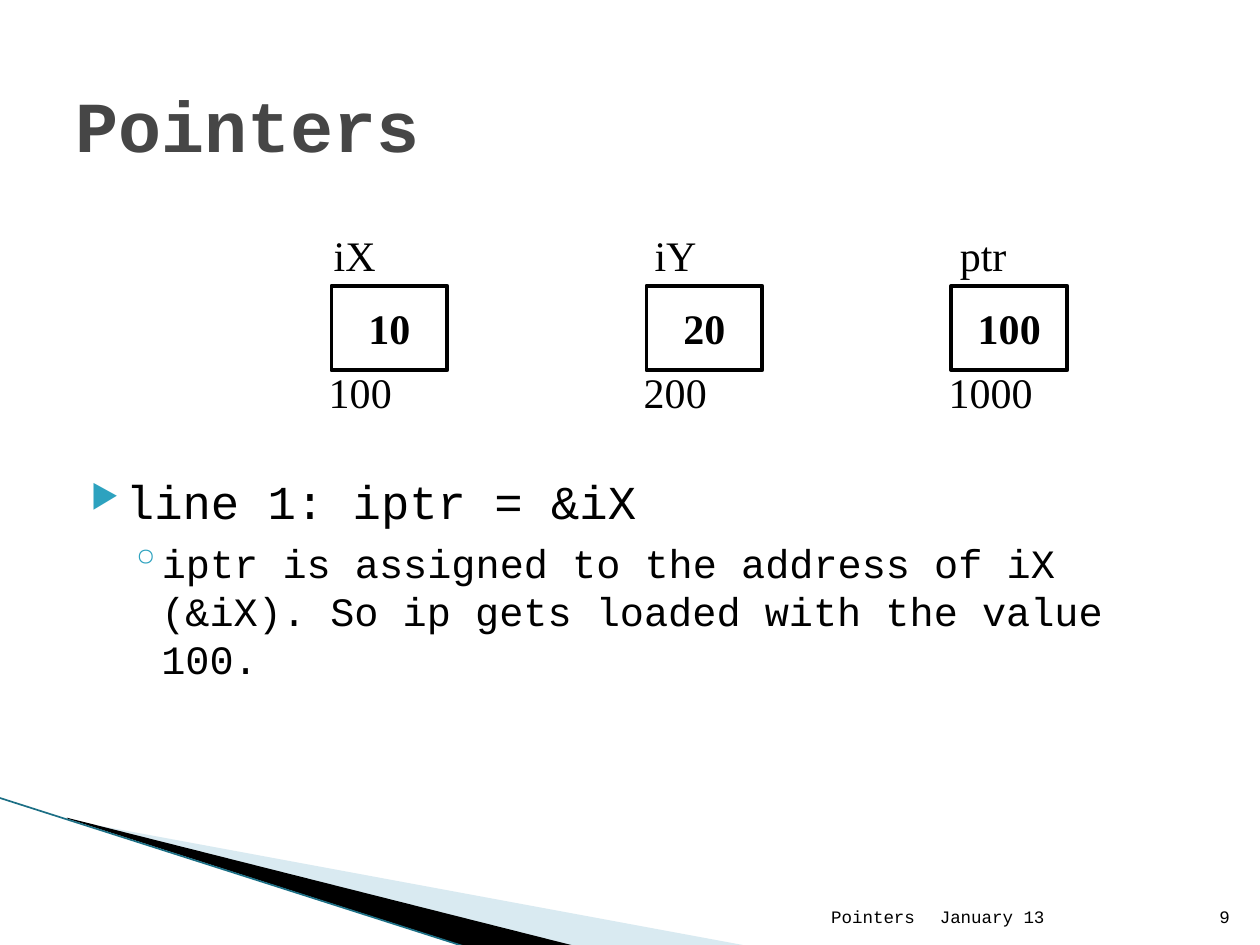
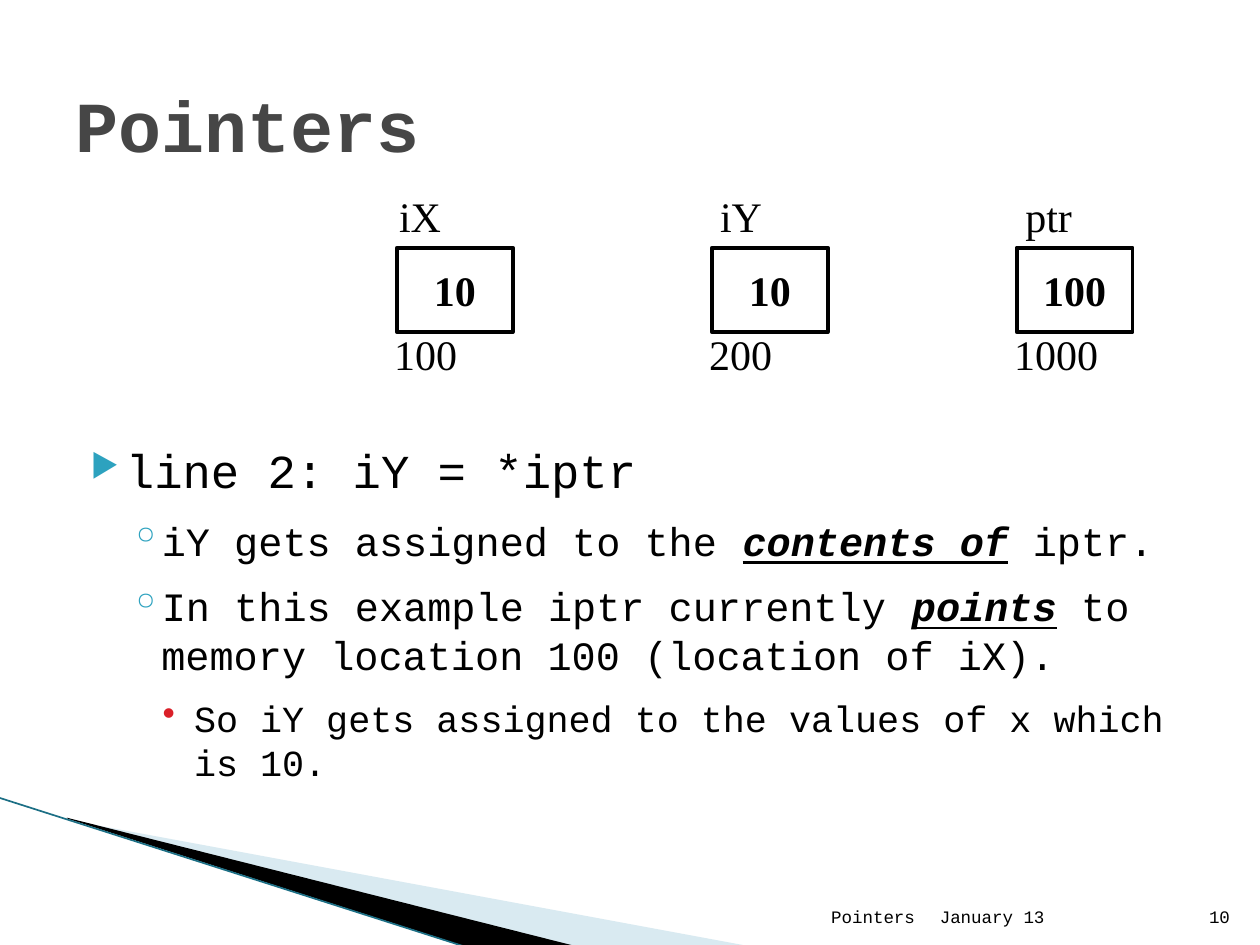
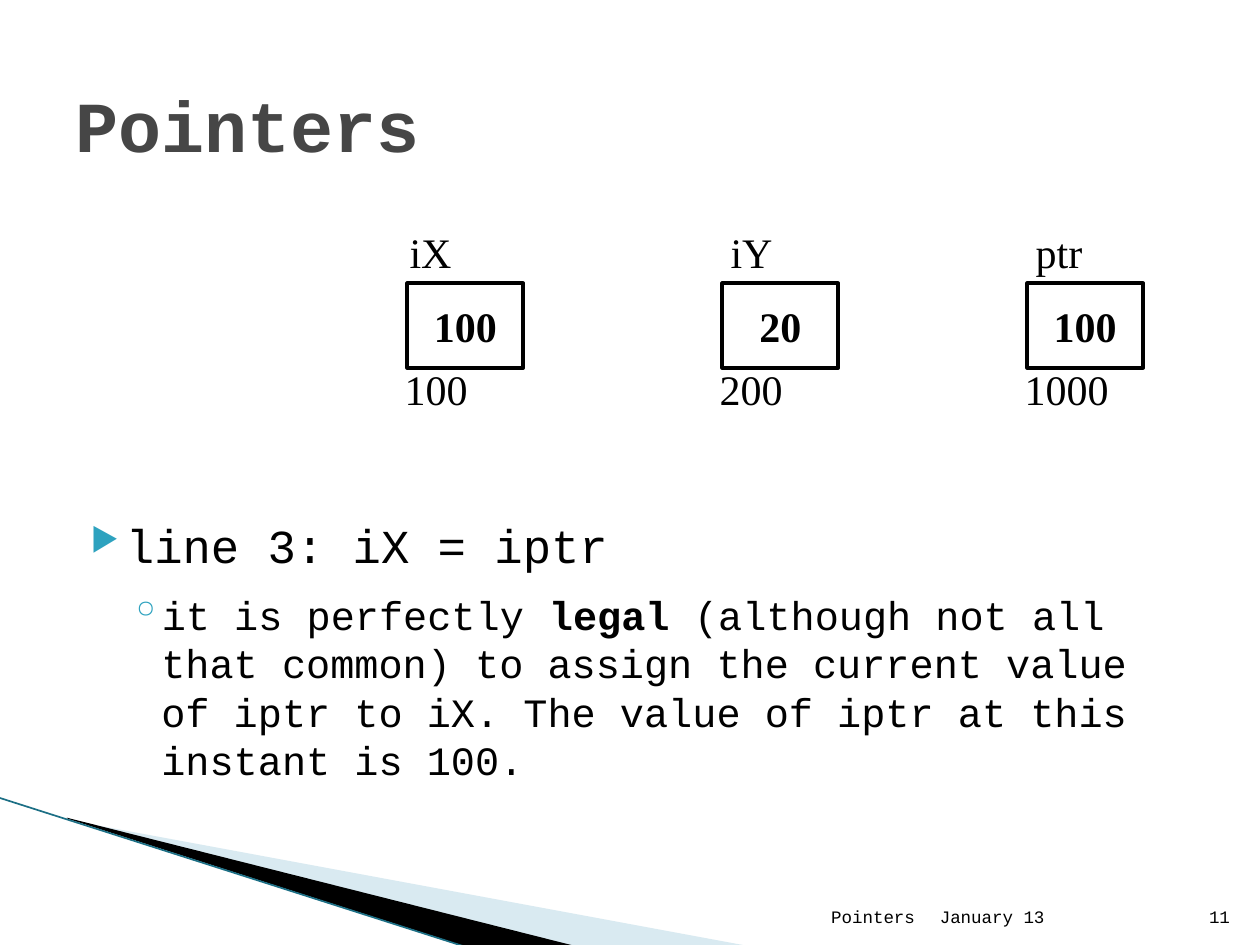
from dataclasses import dataclass

from lxml import etree
from pptx import Presentation
from pptx.dml.color import RGBColor
from pptx.enum.shapes import MSO_CONNECTOR, MSO_SHAPE
from pptx.enum.text import MSO_ANCHOR, PP_ALIGN
from pptx.oxml.ns import qn
from pptx.util import Pt

RECTANGLE, STRAIGHT = MSO_SHAPE.RECTANGLE, MSO_CONNECTOR.STRAIGHT
TOP, MIDDLE, BOTTOM = MSO_ANCHOR.TOP, MSO_ANCHOR.MIDDLE, MSO_ANCHOR.BOTTOM
LEFT, CENTER, RIGHT = PP_ALIGN.LEFT, PP_ALIGN.CENTER, PP_ALIGN.RIGHT


@dataclass(frozen=True)
class Theme:
    code_font: str = "Courier New"
    diagram_font: str = "Times New Roman"
    ink: str = "000000"
    title: str = "464646"
    accent: str = "2DA2BF"
    accent_deep: str = "DA1F28"
    pale_wedge: str = "A0CBDC"
    wedge_edge: str = "1C6F85"
    title_size: float = 41
    diagram_size: float = 24
    footer_size: float = 10
    leading: float = 1.2


THEME = Theme()

# Content: body lines are (level, runs); a run is text or (text, styles)
TITLE = "Pointers"
FOOTER, DATE = "Pointers", "January 13"
STRONG, EMPHASIS = "b", "biu"
SLIDES = [
    dict(number="9", diagram_at=(189.4, 163.4), values=["10", "20", "100"],
         body_top=270, gap=5, body=[
             (0, ["line 1: iptr = &iX"]),
             (1, ["iptr is assigned to the address of iX (&iX). "
                  "So ip gets loaded with the value 100."]),
         ]),
    dict(number="10", diagram_at=(226.8, 141.6), values=["10", "10", "100"],
         body_top=252.4, gap=10, body=[
             (0, ["line 2: iY = *iptr"]),
             (1, ["iY gets assigned to the ", ("contents of", EMPHASIS), " iptr."]),
             (1, ["In this example iptr currently ", ("points", EMPHASIS),
                  " to memory location 100 (location of iX)."]),
             (2, ["So iY gets assigned to the values of x which is 10."]),
         ]),
    dict(number="11", diagram_at=(232.8, 162), values=["100", "20", "100"],
         body_top=294.8, gap=10, body=[
             (0, ["line 3: iX = iptr"]),
             (1, ["it is perfectly ", ("legal", STRONG),
                  " (although not all that common) to assign the current value "
                  "of iptr to iX. The value of iptr at this instant is 100."]),
         ]),
]

# Variables: name, address, offset from the first cell, name shift, label widths
VARIABLES = [
    ("iX", "100", 0, -5.8, 38.2, 50.4),
    ("iY", "200", 180, -2.4, 38.2, 50.4),
    ("ptr", "1000", 354.2, -2.2, 41, 62.6),
]
CELL_WIDTH, CELL_HEIGHT, LABEL_HEIGHT = 66.2, 48.2, 36
ADDRESS_SHIFT, ADDRESS_DROP = -8.6, 42.3

# Body levels: size, left margin, hanging indent, bullet, colour, bullet percent
LEVELS = [
    (27, 28.8, 20.2, "\u25b6", THEME.accent, 68),
    (23, 49, 18, "\u25e6", THEME.accent, 100),
    (21, 67.7, 18, "\u2022", THEME.accent_deep, 100),
]
BODY_LEFT, BODY_WIDTH, BODY_BOTTOM = 43.2, 633.6, 473

# Corner decoration
PALE_WEDGE = [(39.6, 468.7), (428.4, 540.7), (328.3, 540.7), (39.6, 468)]
DARK_WEDGE = [(38.2, 467.3), (329, 540.7), (267.8, 541.4), (38.9, 468)]
WEDGE_EDGE = (-0.7, 455.8, 267.1, 541.4)


def pts(*lengths):
    return [Pt(length) for length in lengths]


def rgb(colour):
    return RGBColor.from_string(colour)


def write(frame, text, *, font=THEME.code_font, size, colour=THEME.ink, bold=False,
          align=LEFT, anchor=TOP, wrap=True, leading=None, new=False):
    """Write text, or a list of runs, as one paragraph and return it."""
    frame.word_wrap = wrap
    frame.vertical_anchor = anchor
    paragraph = frame.add_paragraph() if new else frame.paragraphs[0]
    paragraph.alignment = align
    if leading:
        paragraph.line_spacing = Pt(round(size * leading, 2))
    for part in [text] if isinstance(text, str) else text:
        words, styles = (part, "") if isinstance(part, str) else part
        run = paragraph.add_run()
        run.text = words
        run.font.name, run.font.size = font, Pt(size)
        run.font.color.rgb = rgb(colour)
        run.font.bold = bold or "b" in styles
        run.font.italic = "i" in styles
        run.font.underline = "u" in styles
    return paragraph


def add_label(slide, box, text, **style):
    frame = slide.shapes.add_textbox(*pts(*box)).text_frame
    write(frame, text, **style)
    return frame


def set_bullet(paragraph, level):
    _, margin, hang, mark, colour, percent = LEVELS[level]
    properties = paragraph._p.get_or_add_pPr()
    properties.set("marL", str(Pt(margin)))
    properties.set("indent", str(-Pt(hang)))
    bullet_colour = etree.SubElement(properties, qn("a:buClr"))
    etree.SubElement(bullet_colour, qn("a:srgbClr"), val=colour)
    etree.SubElement(properties, qn("a:buSzPct"), val=str(percent * 1000))
    etree.SubElement(properties, qn("a:buChar"), char=mark)


def add_wedge(slide, corners, colour, opacity=100):
    points = [pts(*corner) for corner in corners]
    builder = slide.shapes.build_freeform(*points[0])
    builder.add_line_segments(points[1:], close=True)
    wedge = builder.convert_to_shape()
    wedge.shadow.inherit = False
    wedge.line.fill.background()
    wedge.fill.solid()
    wedge.fill.fore_color.rgb = rgb(colour)
    if opacity < 100:
        tint = wedge._element.spPr.find(".//" + qn("a:srgbClr"))
        etree.SubElement(tint, qn("a:alpha"), val=str(opacity * 1000))


def add_frame(slide, number):
    """Draw the decoration, footer and title that every slide shares."""
    add_wedge(slide, PALE_WEDGE, THEME.pale_wedge, opacity=40)
    add_wedge(slide, DARK_WEDGE, THEME.ink)
    edge = slide.shapes.add_connector(STRAIGHT, *pts(*WEDGE_EDGE))
    edge.line.color.rgb = rgb(THEME.wedge_edge)
    edge.line.width = Pt(0.95)
    etree.SubElement(edge._element.spPr, qn("a:effectLst"))

    for text, left, width, align in [(DATE, 530, 151.2, LEFT),
                                     (FOOTER, 344.9, 185, RIGHT),
                                     (number, 681.1, 28.8, RIGHT)]:
        add_label(slide, (left, 504.7, width, 28.8), text, align=align,
                  size=THEME.footer_size, anchor=BOTTOM)

    title = add_label(slide, (36, 21.6, 648, 90), TITLE, size=THEME.title_size,
                      colour=THEME.title, bold=True, anchor=MIDDLE,
                      leading=THEME.leading)
    title.margin_top, title.margin_bottom = pts(8, 0)


def add_body(slide, lines, top, gap):
    box = (BODY_LEFT, top, BODY_WIDTH, BODY_BOTTOM - top)
    frame = slide.shapes.add_textbox(*pts(*box)).text_frame
    frame.margin_left = frame.margin_right = 0
    frame.margin_top = frame.margin_bottom = 0
    for index, (level, runs) in enumerate(lines):
        paragraph = write(frame, runs, size=LEVELS[level][0],
                          leading=THEME.leading, new=index > 0)
        paragraph.space_before = Pt(gap if index else 0)
        set_bullet(paragraph, level)


def add_diagram(slide, left, top, values):
    """Draw each variable as a cell with its name above and address below."""
    style = dict(font=THEME.diagram_font, size=THEME.diagram_size, wrap=False)
    for variable, value in zip(VARIABLES, values):
        name, address, offset, name_shift, name_width, address_width = variable
        x = left + offset
        cell = slide.shapes.add_shape(
            RECTANGLE, *pts(x, top, CELL_WIDTH, CELL_HEIGHT))
        cell.shadow.inherit = False
        cell.fill.background()
        cell.line.color.rgb = rgb(THEME.ink)
        cell.line.width = Pt(2.25)
        write(cell.text_frame, value, bold=True, align=CENTER, anchor=MIDDLE, **style)
        add_label(slide, (x + ADDRESS_SHIFT, top + ADDRESS_DROP,
                          address_width, LABEL_HEIGHT), address, **style)
        add_label(slide, (x + name_shift, top - LABEL_HEIGHT,
                          name_width, LABEL_HEIGHT), name, **style)


presentation = Presentation()
presentation.slide_width, presentation.slide_height = pts(720, 540)
blank = presentation.slide_layouts[6]
for content in SLIDES:
    slide = presentation.slides.add_slide(blank)
    add_frame(slide, content["number"])
    add_body(slide, content["body"], content["body_top"], content["gap"])
    add_diagram(slide, *content["diagram_at"], content["values"])
presentation.save("out.pptx")
